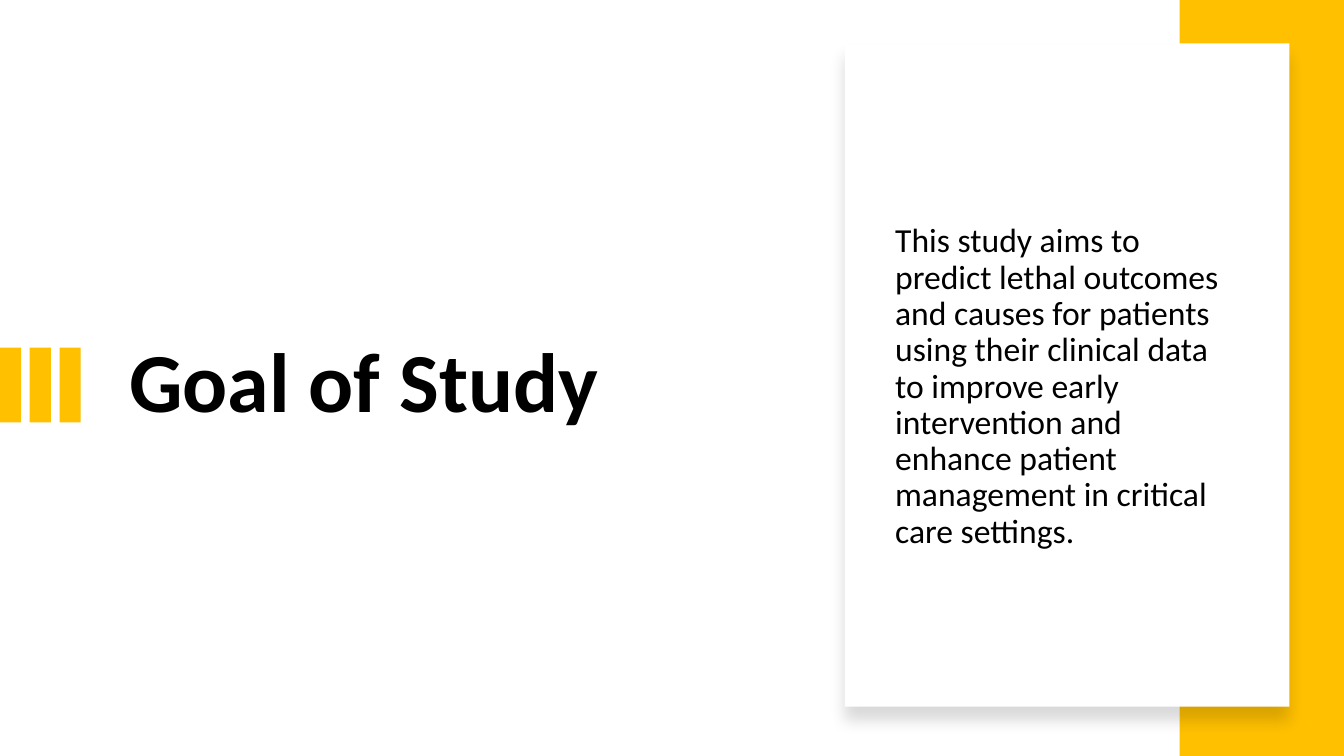
"""Build the Goal of Study slide."""
from dataclasses import dataclass

from lxml import etree
from pptx import Presentation
from pptx import util as u
from pptx.dml.color import RGBColor
from pptx.enum import shapes, text
from pptx.oxml import ns

GOLD = RGBColor(0xFF, 0xC0, 0x00)
WHITE = RGBColor(0xFF, 0xFF, 0xFF)
BLACK = RGBColor(0x00, 0x00, 0x00)

GOAL = (
    "This study aims to predict lethal outcomes and causes for patients "
    "using their clinical data to improve early intervention and enhance "
    "patient management in critical care settings."
)


@dataclass(frozen=True)
class Box:
    """Position and size in inches."""
    left: float
    top: float
    width: float
    height: float


@dataclass(frozen=True)
class Panel:
    """A plain filled rectangle."""
    box: Box
    fill: RGBColor
    shade: bool = False


BARS = [Panel(Box(0.295 * i, 3.45, 0.21, 0.74), GOLD) for i in range(3)]
BAND = Panel(Box(11.7, 0, 1.63, 7.5), GOLD)
CARD = Panel(Box(8.38, 0.43, 4.41, 6.58), WHITE, shade=True)


def place(item, box: Box) -> None:
    """Move and size a shape."""
    for name in ("left", "top", "width", "height"):
        setattr(item, name, u.Inches(getattr(box, name)))


def add_shade(item) -> None:
    """Give a shape a soft shadow that falls straight down."""
    effects = item._element.spPr.find(ns.qn("a:effectLst"))
    shadow = etree.SubElement(
        effects, ns.qn("a:outerShdw"), blurRad=str(u.Pt(11)),
        dist=str(u.Pt(10)), dir="5400000", algn="t", rotWithShape="0")
    color = etree.SubElement(shadow, ns.qn("a:srgbClr"), val=str(BLACK))
    etree.SubElement(color, ns.qn("a:alpha"), val="15000")


def draw_panel(slide, panel: Panel) -> None:
    """Draw one panel."""
    item = slide.shapes.add_shape(shapes.MSO_SHAPE.RECTANGLE, 0, 0, 0, 0)
    place(item, panel.box)
    item.fill.solid()
    item.fill.fore_color.rgb = panel.fill
    item.line.fill.background()
    item.shadow.inherit = False
    if panel.shade:
        add_shade(item)


def write(item, box: Box, words: str, size: float, bold: bool,
          before: float) -> None:
    """Place a text shape and fill it with one formatted paragraph."""
    place(item, box)
    frame = item.text_frame
    frame.text = words
    para = frame.paragraphs[0]
    formats = {
        frame: {"word_wrap": True,
                "auto_size": text.MSO_AUTO_SIZE.NONE,
                "vertical_anchor": text.MSO_ANCHOR.MIDDLE},
        para: {"alignment": text.PP_ALIGN.LEFT, "line_spacing": 0.9,
               "space_before": u.Pt(before)},
        para.runs[0].font: {"name": "Calibri", "size": u.Pt(size),
                            "bold": bold},
    }
    for target, values in formats.items():
        for name, value in values.items():
            setattr(target, name, value)
    para.runs[0].font.color.rgb = BLACK


def main() -> None:
    """Create and save the deck."""
    deck = Presentation()
    deck.slide_width = u.Inches(13.33)
    deck.slide_height = u.Inches(7.5)
    slide = deck.slides.add_slide(deck.slide_layouts[5])
    write(slide.shapes.title, Box(1.18, 1.25, 6.6, 5.15), "Goal of Study",
          60, True, 0)
    for panel in [*BARS, BAND, CARD]:
        draw_panel(slide, panel)
    body = slide.shapes.add_textbox(0, 0, 0, 0)
    write(body, Box(8.78, 1.85, 3.61, 3.98), GOAL, 24, False, 10)
    deck.save("out.pptx")


if __name__ == "__main__":
    main()
